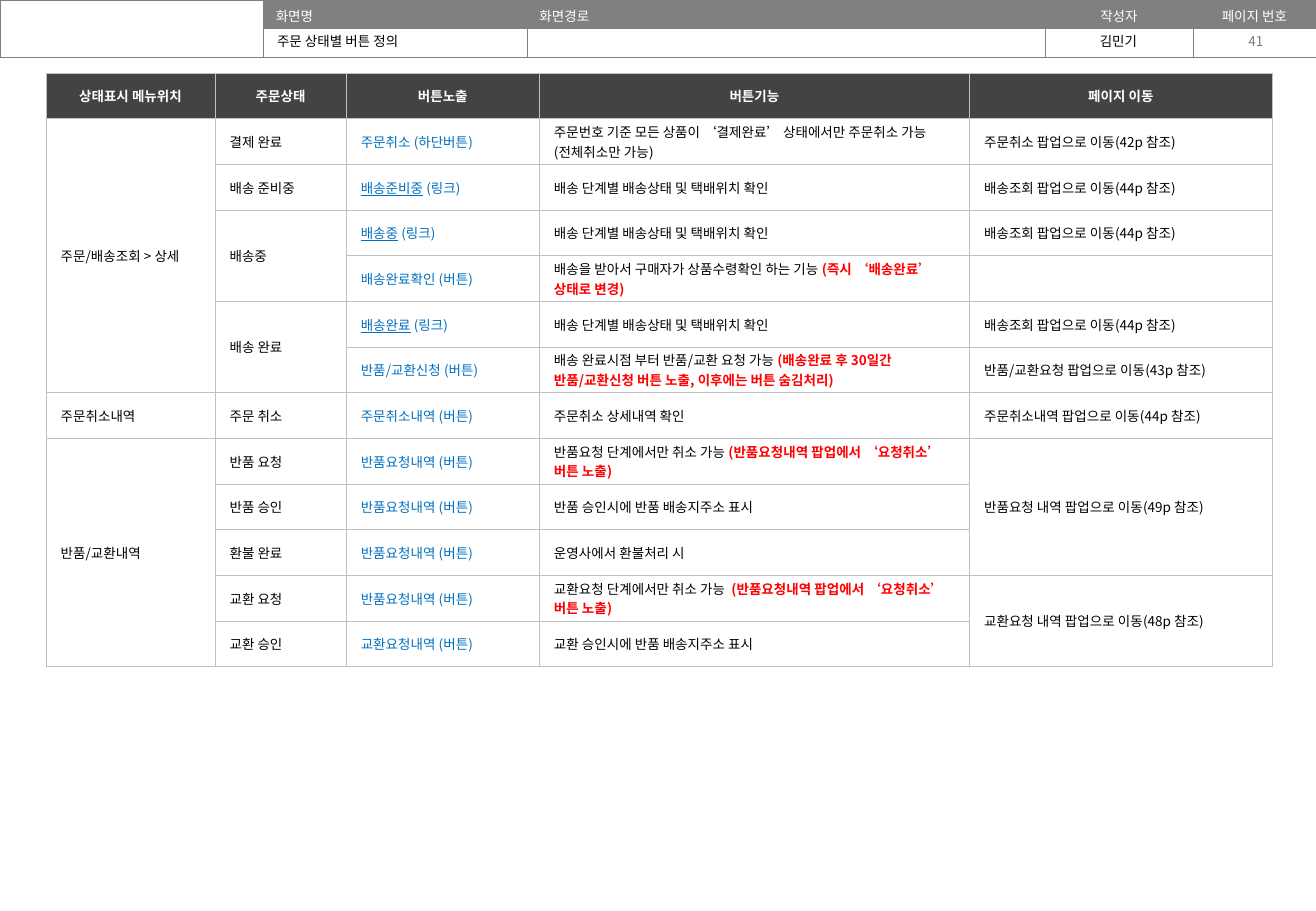
import pptx
import pptx.util
import pptx.dml.color
import pptx.enum.text
import pptx.oxml
import pptx.oxml.ns
from dataclasses import dataclass

Inches, Pt = pptx.util.Inches, pptx.util.Pt
RGB = pptx.dml.color.RGBColor.from_string
Align = pptx.enum.text.PP_ALIGN
Anchor = pptx.enum.text.MSO_ANCHOR
NS = pptx.oxml.ns.nsdecls("a")


@dataclass
class Theme:
    font: str = "Noto Sans CJK KR"
    size: float = 8
    line: float = 0.25
    black: str = "000000"
    white: str = "FFFFFF"
    gray: str = "808080"
    pale: str = "797979"
    rule: str = "BFBFBF"
    dark: str = "434343"
    blue: str = "0070C0"
    red: str = "FF0000"


class Page:
    def __init__(self, deck, theme):
        self.theme = theme
        self.slide = deck.slides.add_slide(deck.slide_layouts[5])

    def run(self, para, text, color, bold=False, under=False):
        run = para.add_run()
        run.text = text
        font = run.font
        font.name, font.size = self.theme.font, Pt(self.theme.size)
        font.bold, font.underline = bold, under
        font.color.rgb = RGB(color)
        run._r.get_or_add_rPr().find(pptx.oxml.ns.qn("a:latin")).addnext(
            pptx.oxml.parse_xml(f'<a:ea {NS} typeface="{self.theme.font}"/>'))

    def fill_text(self, box, text, color, align, anchor):
        frame = box.text_frame
        frame.word_wrap = True
        frame.auto_size = pptx.enum.text.MSO_AUTO_SIZE.NONE
        frame.vertical_anchor = anchor
        frame.paragraphs[0].alignment = align
        self.run(frame.paragraphs[0], text, color)

    def title(self, text, *area):
        box = self.slide.shapes.title
        box.left, box.top, box.width, box.height = map(Inches, area)
        self.fill_text(box, text, self.theme.black, Align.LEFT, Anchor.TOP)

    def text(self, text, color, anchor, *area):
        box = self.slide.shapes.add_textbox(*map(Inches, area))
        self.fill_text(box, text, color, Align.CENTER, anchor)

    def table(self, left, top, cols, high, count, rule):
        """Add a plain ruled grid with equal rows."""
        grid = self.slide.shapes.add_table(
            count, len(cols), Inches(left), Inches(top),
            Inches(sum(cols)), Inches(high)).table
        grid.first_row = grid.horz_banding = False
        for col, wide in zip(grid.columns, cols):
            col.width = Inches(wide)
        for row in grid.rows:
            row.height = Inches(high / count)
        for cell in grid.iter_cells():
            props = cell._tc.get_or_add_tcPr()
            for side in "LRTB":
                props.append(pptx.oxml.parse_xml(
                    f'<a:ln{side} {NS} w="{Pt(self.theme.line)}"><a:solidFill>'
                    f'<a:srgbClr val="{rule}"/></a:solidFill></a:ln{side}>'))
            cell.fill.background()
            # Small end mark keeps empty cells from growing
            cell.text_frame.paragraphs[0]._p.append(pptx.oxml.parse_xml(
                f'<a:endParaRPr {NS} sz="{int(self.theme.size * 100)}"/>'))
        return grid

    def cell(self, cell, runs, align=Align.LEFT, fill=None,
             pad=(0.12, 0.02, 0.02), anchor=Anchor.MIDDLE):
        side, above, below = map(Inches, pad)
        cell.margin_left = cell.margin_right = side
        cell.margin_top, cell.margin_bottom = above, below
        cell.vertical_anchor = anchor
        if fill:
            cell.fill.solid()
            cell.fill.fore_color.rgb = RGB(fill)
        para = cell.text_frame.paragraphs[0]
        para.alignment = align
        for item in runs:
            self.run(para, *item)


# Header band: labels and their alignment
BAND_COLS = [2.17, 2.17, 4.26, 1.22, 1.01]
BAND = [("화면명", Align.LEFT), ("화면경로", Align.LEFT),
        ("작성자", Align.CENTER), ("페이지 번호", Align.CENTER)]

# Order table: "|" splits runs, None continues the cell above
COLS = [1.39, 1.08, 1.59, 3.54, 2.49]
HEADS = ["상태표시 메뉴위치", "주문상태", "버튼노출", "버튼기능", "페이지 이동"]
TRACK = "배송 단계별 배송상태 및 택배위치 확인"
TRACK_GO = "배송조회 팝업으로 이동(44p 참조)"
RETURN = "반품요청내역 (버튼)"
CANCEL = "|(반품요청내역 팝업에서 ‘요청취소’ 버튼 노출)"
ROWS = [
    ["주문/배송조회 > 상세", "결제 완료", "주문취소 (하단버튼)",
     "주문번호 기준 모든 상품이 ‘결제완료’ 상태에서만 주문취소 가능 (전체취소만 가능)",
     "주문취소 팝업으로 이동(42p 참조)"],
    [None, "배송 준비중", "배송준비중| (링크)", TRACK, TRACK_GO],
    [None, "배송중", "배송중| (링크)", TRACK, TRACK_GO],
    [None, None, "배송완료확인 (버튼)",
     "배송을 받아서 구매자가 상품수령확인 하는 기능 |(즉시 ‘배송완료’ 상태로 변경)", ""],
    [None, "배송 완료", "배송완료| (링크)", TRACK, TRACK_GO],
    [None, None, "반품/교환신청 (버튼)",
     "배송 완료시점 부터 반품/교환 요청 가능 "
     "|(배송완료 후 30일간 반품/교환신청 버튼 노출, 이후에는 버튼 숨김처리)",
     "반품/교환요청 팝업으로 이동(43p 참조)"],
    ["주문취소내역", "주문 취소", "주문취소내역 (버튼)", "주문취소 상세내역 확인",
     "주문취소내역 팝업으로 이동(44p 참조)"],
    ["반품/교환내역", "반품 요청", RETURN, "반품요청 단계에서만 취소 가능 " + CANCEL,
     "반품요청 내역 팝업으로 이동(49p 참조)"],
    [None, "반품 승인", RETURN, "반품 승인시에 반품 배송지주소 표시", None],
    [None, "환불 완료", RETURN, "운영사에서 환불처리 시", None],
    [None, "교환 요청", RETURN, "교환요청 단계에서만 취소 가능  " + CANCEL,
     "교환요청 내역 팝업으로 이동(48p 참조)"],
    [None, "교환 승인", "교환요청내역 (버튼)", "교환 승인시에 반품 배송지주소 표시", None],
]


def split(text, col, theme):
    """Links are underlined in the button column; later notes are red."""
    if not text:
        return []
    first, mark, rest = text.partition("|")
    if col == 2:
        runs = [(first, theme.blue, False, bool(mark))]
        last = (rest, theme.blue)
    else:
        runs = [(first, theme.black)]
        last = (rest, theme.red, True)
    return runs + [last] if mark else runs


def main():
    deck = pptx.Presentation()
    deck.slide_width, deck.slide_height = Inches(10.83), Inches(7.5)
    theme = Theme()
    page = Page(deck, theme)

    # Header band
    band = page.table(0, 0, BAND_COLS, 0.47, 2, theme.gray)
    band.cell(0, 0).merge(band.cell(1, 0))
    for col, (label, align) in enumerate(BAND, 1):
        page.cell(band.cell(0, col), [(label, theme.white)], align,
                  theme.gray, (0.1, 0.05, 0), Anchor.TOP)
    page.title("주문 상태별 버튼 정의", 2.18, 0.22, 2.15, 0.24)
    page.text("김민기", theme.black, Anchor.TOP, 8.59, 0.22, 1.23, 0.24)
    page.text("41", theme.pale, Anchor.MIDDLE, 9.83, 0.22, 1.01, 0.24)

    # Order table
    grid = page.table(0.38, 0.6, COLS, 4.89, len(ROWS) + 1, theme.rule)
    for col, head in enumerate(HEADS):
        page.cell(grid.cell(0, col), [(head, theme.white, True)],
                  Align.CENTER, theme.dark)
        start = 1
        for row, line in enumerate(ROWS, 1):
            if line[col] is not None:
                start = row
                page.cell(grid.cell(row, col), split(line[col], col, theme))
            elif row == len(ROWS) or ROWS[row][col] is not None:
                grid.cell(start, col).merge(grid.cell(row, col))

    deck.save("out.pptx")


if __name__ == "__main__":
    main()
